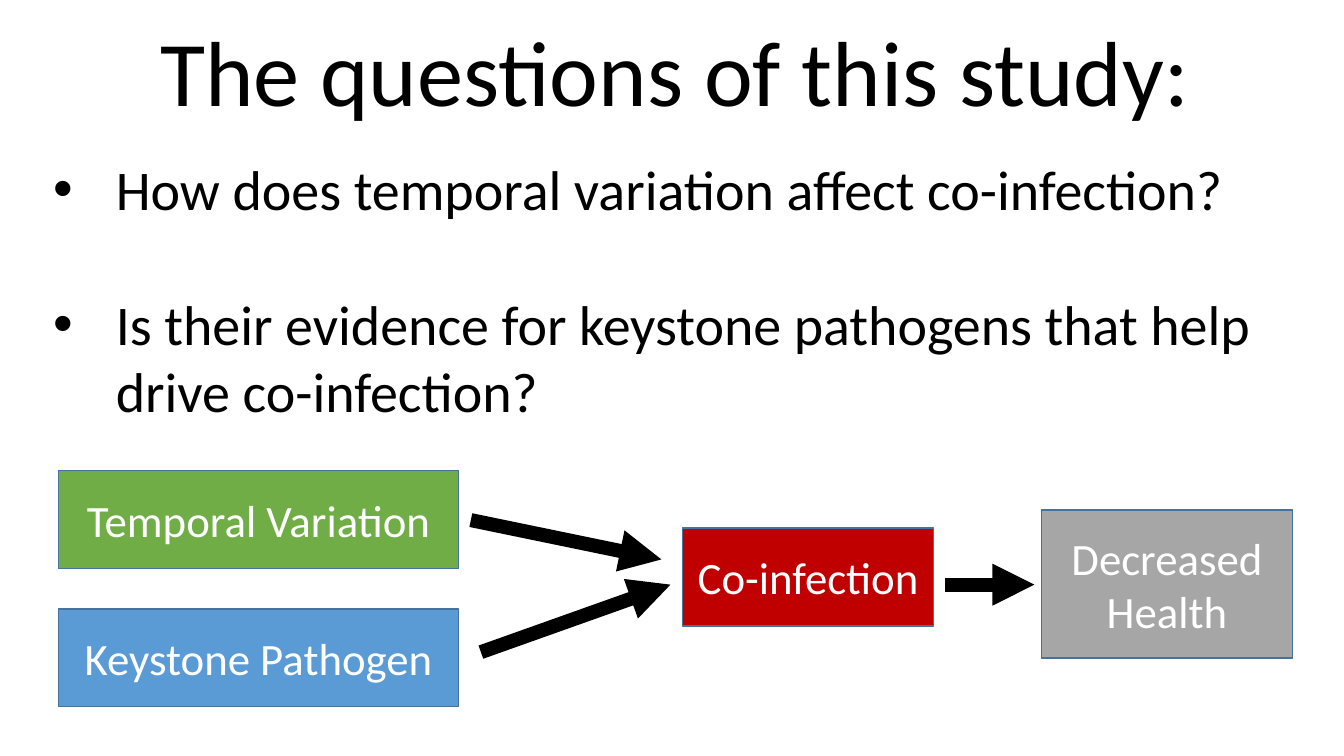
from lxml import etree
from pptx import Presentation
from pptx import util as u
from pptx.dml.color import RGBColor
from pptx.enum import shapes, text
from pptx.oxml.ns import qn


def rgb(value):
    """Turn a hex string into a colour."""
    return RGBColor.from_string(value)


def add_run(p, words, size, color):
    """Add one run of Calibri text to a paragraph."""
    r = p.add_run()
    r.text = words
    r.font.name = "Calibri"
    r.font.size = u.Pt(size)
    r.font.color.rgb = rgb(color)


def add_text_box(s, box):
    """Add a wrapping text box and return its text frame."""
    tf = s.shapes.add_textbox(*map(u.Inches, box)).text_frame
    tf.word_wrap = True
    return tf


def add_title(s, box, words):
    """Place the centred heading in its box."""
    tf = add_text_box(s, box)
    tf.vertical_anchor = text.MSO_ANCHOR.MIDDLE
    p = tf.paragraphs[0]
    p.alignment = text.PP_ALIGN.CENTER
    p.line_spacing = 0.9
    add_run(p, words, 66, "000000")


def add_questions(s, box, questions):
    """Place the bulleted questions, one blank line's height apart."""
    tf = add_text_box(s, box)
    for i, question in enumerate(questions):
        p = tf.paragraphs[0] if i == 0 else tf.add_paragraph()
        if i:
            p.space_before = u.Pt(48.8)
        pPr = p._p.get_or_add_pPr()
        pPr.set("marL", str(u.Inches(0.62)))
        pPr.set("indent", str(-u.Inches(0.62)))
        etree.SubElement(pPr, qn("a:buFont")).set("typeface", "Arial")
        etree.SubElement(pPr, qn("a:buChar")).set("char", "•")
        add_run(p, question, 40, "000000")


def add_node(s, box, lines, fill):
    """Place a filled rectangle with centred white lines of text."""
    sp = s.shapes.add_shape(shapes.MSO_SHAPE.RECTANGLE, *map(u.Inches, box))
    sp.shadow.inherit = False
    sp.fill.solid()
    sp.fill.fore_color.rgb = rgb(fill)
    sp.line.color.rgb = rgb("43739E")
    sp.line.width = u.Pt(1)
    tf = sp.text_frame
    tf.word_wrap = True
    tf.vertical_anchor = text.MSO_ANCHOR.MIDDLE
    for i, line in enumerate(lines):
        p = tf.paragraphs[0] if i == 0 else tf.add_paragraph()
        p.alignment = text.PP_ALIGN.CENTER
        add_run(p, line, 32, "FFFFFF")


def add_arrow(s, x1, y1, x2, y2):
    """Draw a thick black arrow between two points."""
    line = s.shapes.add_connector(
        shapes.MSO_CONNECTOR.STRAIGHT, *map(u.Inches, (x1, y1, x2, y2)))
    line.line.color.rgb = rgb("000000")
    line.line.width = u.Pt(10)
    ln = line.line._get_or_add_ln()
    etree.SubElement(ln, qn("a:tailEnd")).set("type", "triangle")
    etree.SubElement(line._element.spPr, qn("a:effectLst"))


def add_pathway(s, box):
    """Place the causes, co-infection and outcome, joined by arrows."""
    x, y, w, h = box
    cause_w, effect_w, node_h, health_h = 3.97, 2.49, 0.97, 1.47
    effect_x, health_x = x + 6.19, x + w - effect_w
    add_node(s, (x, y, cause_w, node_h), ["Temporal Variation"], "70AD47")
    add_node(s, (x, y + h - node_h, cause_w, node_h),
             ["Keystone Pathogen"], "5B9BD5")
    add_node(s, (effect_x, y + 0.57, effect_w, node_h),
             ["Co-infection"], "C00000")
    mid = y + 1.13
    add_arrow(s, x + 4.09, y + 0.49, effect_x - 0.21, y + 0.88)
    add_arrow(s, x + 4.19, y + 1.8, effect_x - 0.12, mid)
    add_arrow(s, effect_x + effect_w + 0.11, mid, health_x - 0.07, mid)
    add_node(s, (health_x, y + 0.39, effect_w, health_h),
             ["Decreased", "Health"], "A6A6A6")


def main():
    """Build and save the slide."""
    prs = Presentation()
    prs.slide_width, prs.slide_height = u.Inches(13.33), u.Inches(7.5)
    s = prs.slides.add_slide(prs.slide_layouts[6])
    add_title(s, (0.58, 0.03, 12.23, 1.45), "The questions of this study:")
    add_questions(s, (0.43, 1.48, 12.53, 2.79), [
        "How does temporal variation affect co-infection?",
        "Is their evidence for keystone pathogens that help drive co-infection?",
    ])
    add_pathway(s, (0.58, 4.67, 12.24, 2.34))
    prs.save("out.pptx")


if __name__ == "__main__":
    main()
